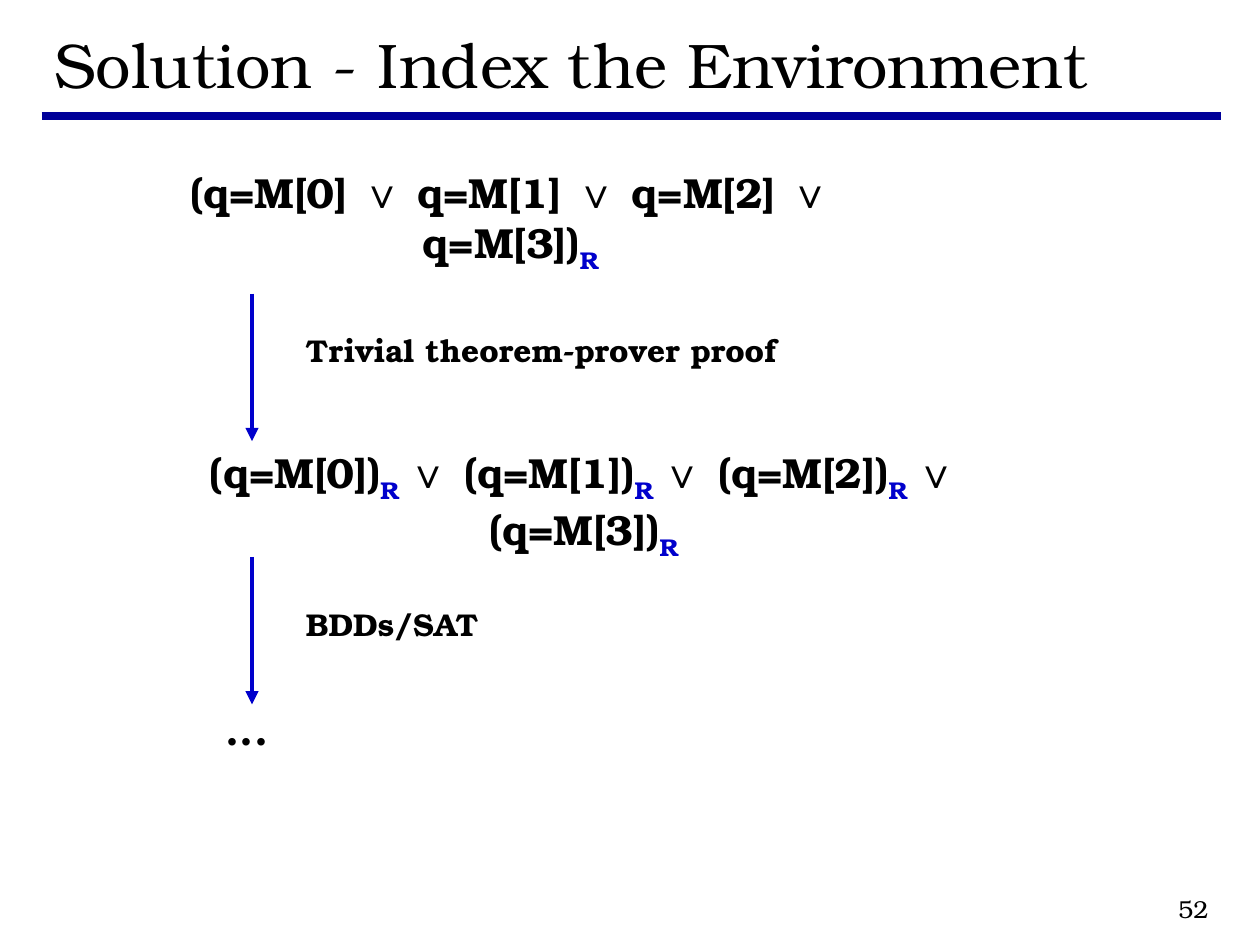
import pptx
import pptx.util
import pptx.dml.color
import pptx.enum.shapes
import pptx.enum.text
import pptx.oxml.ns
import pptx.oxml.xmlchemy

Inches = pptx.util.Inches
Pt = pptx.util.Pt
Align = pptx.enum.text.PP_ALIGN
RGB = pptx.dml.color.RGBColor
qn = pptx.oxml.ns.qn
make = pptx.oxml.xmlchemy.OxmlElement
colors = {"text": "000000", "rule": "000099", "mark": "0000CC"}

deck = pptx.Presentation()
deck.slide_width = Inches(10)
deck.slide_height = Inches(7.5)
slide = deck.slides.add_slide(deck.slide_layouts[5])


def write(box, parts, size, bold, align):
    frame = box.text_frame
    frame.word_wrap = True
    frame.auto_size = pptx.enum.text.MSO_AUTO_SIZE.NONE
    frame.vertical_anchor = pptx.enum.text.MSO_ANCHOR.MIDDLE
    para = frame.paragraphs[0]
    para.alignment = align
    for part in parts:
        run = para.add_run()
        run.text = part
        sub = part.strip() == "R"
        name = "Arial" if part == "∨" else "TeX Gyre Bonum"
        style = {"name": name, "size": Pt(size), "bold": bold}
        for key, value in style.items():
            setattr(run.font, key, value)
        run.font.color.rgb = RGB.from_string(colors["mark" if sub else "text"])
        if sub:
            run._r.get_or_add_rPr().set("baseline", "-25000")


def draw(start, end, color, width, arrow):
    kind = pptx.enum.shapes.MSO_CONNECTOR.STRAIGHT
    line = slide.shapes.add_connector(kind, *map(Inches, start + end))
    line.line.color.rgb = RGB.from_string(colors[color])
    line.line.width = Pt(width)
    props = line._element.spPr
    if arrow:
        tail = make("a:tailEnd")
        tail.set("type", "triangle")
        props.find(qn("a:ln")).append(tail)
    props.append(make("a:effectLst"))


draw((0.33, 0.92), (9.69, 0.92), "rule", 5, False)

title = slide.shapes.title
place = {"left": 0.33, "top": 0.17, "width": 9.36, "height": 0.67}
for key, value in place.items():
    setattr(title, key, Inches(value))
write(title, ["Solution - Index the Environment"], 36, False, Align.LEFT)

whole = "(q=M[0] |∨| q=M[1] |∨| q=M[2] |∨| q=M[3])|R".split("|")
split = "|R |∨| ".join(f"(q=M[{i}])" for i in range(4)).split("|") + ["R"]

texts = [
    ((0.99, 1.47, 6.13, 0.56), whole, 24, True, Align.CENTER),
    ((1.02, 3.72, 7.23, 0.56), split, 24, True, Align.CENTER),
    ((2.33, 2.58, 4, 0.4), ["Trivial theorem-prover proof"], 18, True, Align.LEFT),
    ((2.33, 4.75, 1.92, 0.4), ["BDDs/SAT"], 18, True, Align.LEFT),
    ((1.42, 5.53, 1.08, 0.5), ["..."], 24, True, Align.CENTER),
    ((7.61, 7, 2.08, 0.42), ["52"], 14, False, Align.RIGHT),
]
for area, parts, size, bold, align in texts:
    box = slide.shapes.add_textbox(*map(Inches, area))
    write(box, parts, size, bold, align)

for top in (2.33, 4.42):
    draw((2, top), (2, top + 1.17), "mark", 2.5, True)

deck.save("out.pptx")
